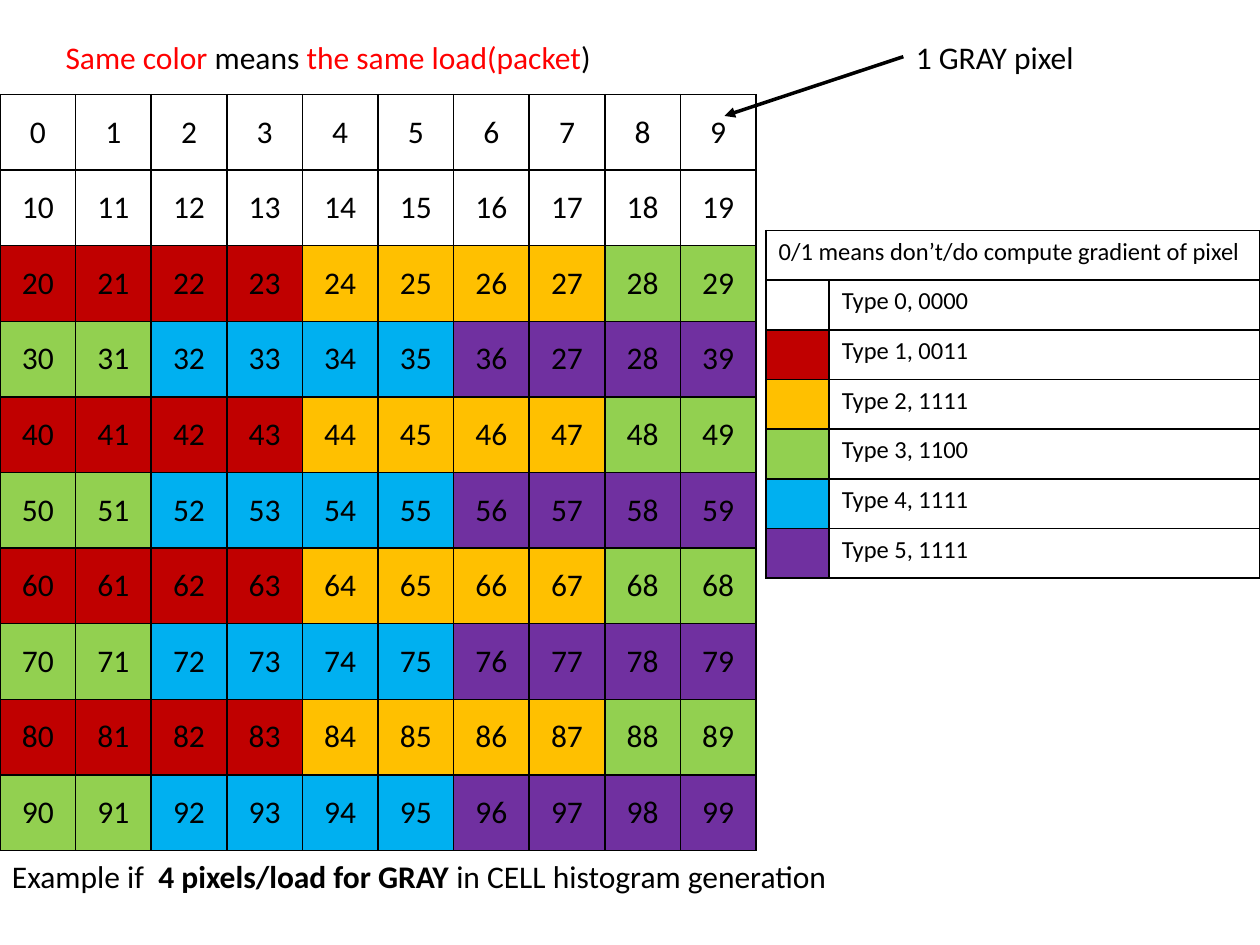
import pptx
import pptx.util
import pptx.dml.color
import pptx.enum.shapes
import pptx.enum.text
import pptx.oxml.ns
import lxml.etree

RGB = pptx.dml.color.RGBColor
BLACK = RGB(0x00, 0x00, 0x00)
WHITE = RGB(0xFF, 0xFF, 0xFF)
RED = RGB(0xFF, 0x00, 0x00)
CRIMSON = RGB(0xC0, 0x00, 0x00)
AMBER = RGB(0xFF, 0xC0, 0x00)
GREEN = RGB(0x92, 0xD0, 0x50)
BLUE = RGB(0x00, 0xB0, 0xF0)
PURPLE = RGB(0x70, 0x30, 0xA0)

LOADS = [CRIMSON, AMBER, GREEN, BLUE, PURPLE]
CODES = ["0000", "0011", "1111", "1100", "1111", "1111"]
LABELS = {37: 27, 38: 28, 69: 68}

ALIGN = pptx.enum.text.PP_ALIGN
ANCHOR = pptx.enum.text.MSO_ANCHOR
FIT = pptx.enum.text.MSO_AUTO_SIZE
qn = pptx.oxml.ns.qn


class Page:
    font = "Calibri"
    size = 18

    def __init__(self, deck):
        self.wide, self.high = deck.slide_width, deck.slide_height
        self.slide = deck.slides.add_slide(deck.slide_layouts[5])
        self.shapes = self.slide.shapes

    def spot(self, x, y):
        return round(self.wide * x / 100), round(self.high * y / 100)

    def style(self, run, color=BLACK, bold=False, size=None):
        run.font.name = self.font
        run.font.size = pptx.util.Pt(size or self.size)
        run.font.color.rgb = color
        run.font.bold = bold

    def words(self, shape, parts, align, wrap):
        frame = shape.text_frame
        frame.word_wrap = wrap
        frame.auto_size = FIT.SHAPE_TO_FIT_TEXT
        frame.vertical_anchor = ANCHOR.TOP
        line = frame.paragraphs[0]
        line.alignment = align
        for text, color, bold in parts:
            run = line.add_run()
            run.text = text
            self.style(run, color, bold)

    def title(self, box, parts):
        shape = self.shapes.title
        shape.left, shape.top = self.spot(*box[:2])
        shape.width, shape.height = self.spot(*box[2:])
        self.words(shape, parts, ALIGN.LEFT, False)

    def text(self, box, parts, align=ALIGN.LEFT, wrap=False):
        shape = self.shapes.add_textbox(*self.spot(*box[:2]), *self.spot(*box[2:]))
        self.words(shape, parts, align, wrap)
        return shape

    def table(self, box, rows, shares):
        left, top = self.spot(*box[:2])
        width, height = self.spot(*box[2:])
        table = self.shapes.add_table(
            rows, len(shares), left, top, width, height).table
        table.first_row = table.horz_banding = False
        for col, share in zip(table.columns, shares):
            col.width = round(width * share / sum(shares))
        for row in table.rows:
            row.height = round(height / rows)
        return table

    def cell(self, cell, text="", fill=WHITE, size=None, center=False):
        cell.text = text
        line = cell.text_frame.paragraphs[0]
        for run in line.runs:
            self.style(run, size=size)
        if not text:
            cell.margin_top = cell.margin_bottom = 0
        if center:
            line.alignment = ALIGN.CENTER
            cell.vertical_anchor = ANCHOR.MIDDLE
        props = cell._tc.get_or_add_tcPr()
        for side in ("a:lnL", "a:lnR", "a:lnT", "a:lnB"):
            edge = lxml.etree.SubElement(props, qn(side), w="12700")
            paint = lxml.etree.SubElement(edge, qn("a:solidFill"))
            lxml.etree.SubElement(paint, qn("a:srgbClr"), val=str(BLACK))
        cell.fill.solid()
        cell.fill.fore_color.rgb = fill

    def arrow(self, label, end):
        line = self.shapes.add_connector(
            pptx.enum.shapes.MSO_CONNECTOR.STRAIGHT,
            label.left, label.top + label.height // 2, *self.spot(*end))
        line.begin_connect(label, 1)
        line.line.color.rgb = BLACK
        line.line.width = pptx.util.Pt(2)
        lxml.etree.SubElement(
            line.line._get_or_add_ln(), qn("a:tailEnd"), type="triangle")
        lxml.etree.SubElement(line._element.spPr, qn("a:effectLst"))


def main():
    deck = pptx.Presentation()
    deck.slide_width = pptx.util.Inches(10)
    deck.slide_height = pptx.util.Inches(7.5)
    page = Page(deck)

    page.title((4.2, 3.33, 44.2, 5.33), [
        ("Same color ", RED, False), ("means ", BLACK, False),
        ("the same load(packet", RED, False), (")", BLACK, False)])

    grid = page.table((0, 10, 60, 80), 10, [1] * 10)
    for num in range(100):
        fill = WHITE if num < 20 else LOADS[num % 20 // 4]
        page.cell(grid.cell(num // 10, num % 10),
                  str(LABELS.get(num, num)), fill, center=True)

    page.text((-0.4, 90, 67.9, 5.33), [
        ("Example if  ", BLACK, False),
        ("4 pixels/load for GRAY ", BLACK, True),
        ("in CELL histogram generation ", BLACK, False)], ALIGN.CENTER)

    key = page.table((60.8, 24.4, 39.2, 36.8), 7, [0.5, 3.41])
    page.cell(key.cell(0, 0),
              "0/1 means don’t/do compute gradient of pixel", size=14)
    page.cell(key.cell(0, 1))
    key.cell(0, 0).merge(key.cell(0, 1))
    for kind, (fill, code) in enumerate(zip([WHITE] + LOADS, CODES)):
        page.cell(key.cell(kind + 1, 0), fill=fill)
        page.cell(key.cell(kind + 1, 1), f"Type {kind}, {code}", size=14)

    label = page.text((71.7, 3.33, 16.7, 5.33),
                      [("1 GRAY pixel", BLACK, False)], wrap=True)
    page.arrow(label, (57.5, 12.27))

    deck.save("out.pptx")


if __name__ == "__main__":
    main()
